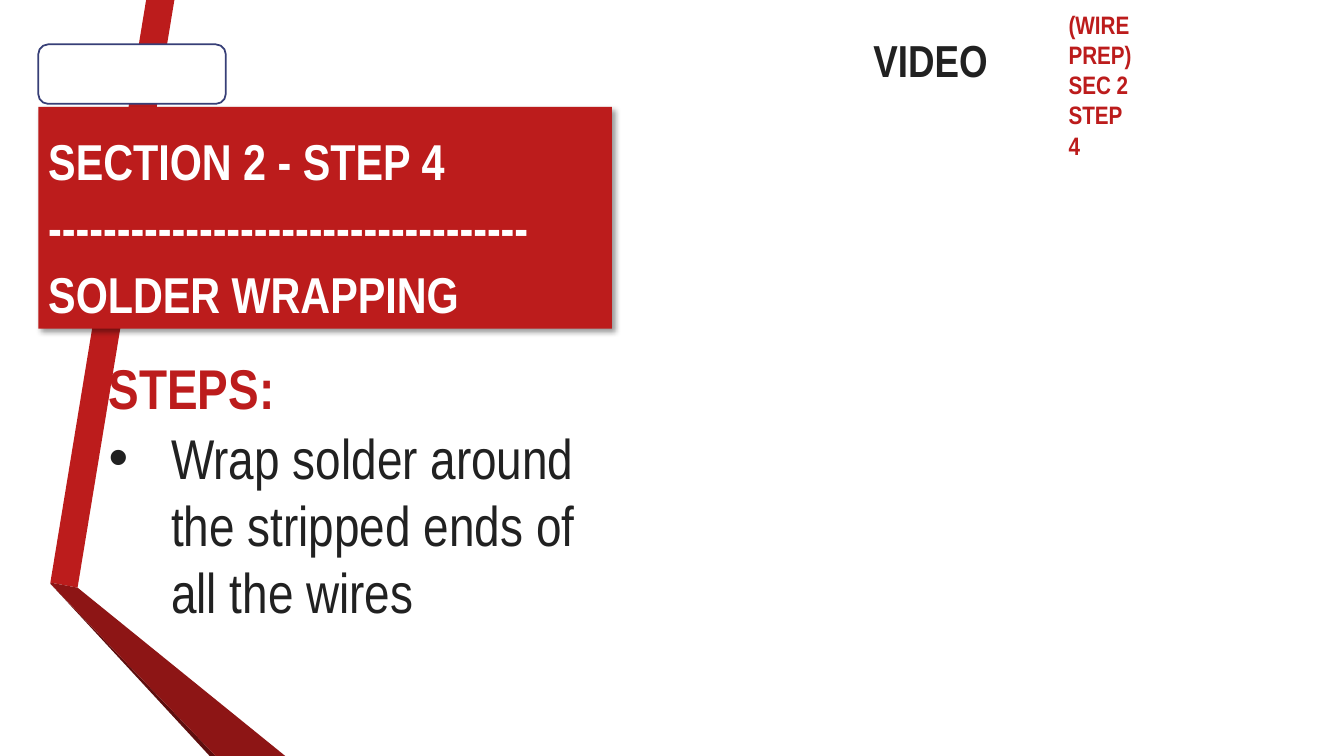
from lxml import etree
from pptx import Presentation
from pptx.dml.color import RGBColor
from pptx.enum.shapes import MSO_SHAPE
from pptx.enum.text import MSO_ANCHOR, PP_ALIGN
from pptx.oxml import parse_xml
from pptx.oxml.ns import nsdecls, qn
from pptx.util import Inches, Pt

# Content
FONT = "Arial Narrow"
COLORS = {"red": "BC1C1C", "dark_red": "8D1515", "deep_red": "5E0E0E",
          "white": "FFFFFF", "navy": "373F77", "ink": "212121"}
RIBBON = [
    ("red", [(0.5, 5.78), (0.77, 5.83), (1.73, 0), (1.45, 0)]),
    ("deep_red", [(0.5, 5.79), (2.08, 7.5), (2.14, 7.5)]),
    ("dark_red", [(0.5, 5.79), (2.14, 7.5), (2.83, 7.5), (0.77, 5.83), (0.5, 5.78)]),
]
LABEL_BOX = (0.38, 0.44, 1.86, 0.59)
TITLE_BOX = (0.38, 1.06, 5.69, 2.2)
TITLE_LINES = ["SECTION 2 - STEP 4", "-" * 35, "SOLDER WRAPPING"]
# text, box, size, colour, bold, alignment, bullet
TEXTS = [
    ("STEPS:", (0.98, 3.46, 5.09, 1.38), 40, "red", True, PP_ALIGN.LEFT, None),
    ("VIDEO", (7.22, 0.28, 4.02, 0.64), 32, "ink", True, PP_ALIGN.CENTER, None),
    ("(WIRE PREP) SEC 2 STEP 4", (10.5, 0.04, 0.84, 1.01), 18, "red", True,
     PP_ALIGN.LEFT, None),
    ("Wrap solder around the stripped ends of all the wires",
     (0.98, 4.15, 5.09, 2.12), 40, "ink", False, PP_ALIGN.LEFT, "•"),
]
BULLET_INDENT = 0.62


def rgb(name):
    return RGBColor.from_string(COLORS[name])


def inches(box):
    return [Inches(value) for value in box]


def paint(shape, fill, line=None):
    shape.shadow.inherit = False
    shape.fill.solid()
    shape.fill.fore_color.rgb = rgb(fill)
    if line:
        shape.line.color.rgb = rgb(line)
        shape.line.width = Pt(1.25)
    else:
        shape.line.fill.background()


def write(paragraph, text, size, color, bold):
    run = paragraph.add_run()
    run.text = text
    run.font.name = FONT
    run.font.size = Pt(size)
    run.font.bold = bold
    run.font.color.rgb = rgb(color)


def add_bullet(paragraph, mark):
    properties = paragraph._p.get_or_add_pPr()
    properties.set("marL", str(Inches(BULLET_INDENT)))
    properties.set("indent", str(-Inches(BULLET_INDENT)))
    font = etree.SubElement(properties, qn("a:buFont"))
    font.set("typeface", "Arial")
    etree.SubElement(properties, qn("a:buChar")).set("char", mark)


def add_soft_shadow(shape):
    effects = shape._element.spPr.find(qn("a:effectLst"))
    effects.append(parse_xml(
        f'<a:outerShdw {nsdecls("a")} blurRad="{Pt(4)}" dist="{Pt(3)}" '
        'dir="2700000" algn="tl" rotWithShape="0"><a:srgbClr val="000000">'
        '<a:alpha val="40000"/></a:srgbClr></a:outerShdw>'))


prs = Presentation()
prs.slide_width, prs.slide_height = Inches(13.33), Inches(7.5)
slide = prs.slides.add_slide(prs.slide_layouts[6])
shapes = slide.shapes

# Folded ribbon
for color, points in RIBBON:
    start, *rest = [tuple(inches(point)) for point in points]
    outline = shapes.build_freeform(*start)
    outline.add_line_segments(rest, close=True)
    paint(outline.convert_to_shape(), color)

# Empty label
label = shapes.add_shape(MSO_SHAPE.ROUNDED_RECTANGLE, *inches(LABEL_BOX))
paint(label, "white", "navy")

# Title panel
title = shapes.add_shape(MSO_SHAPE.RECTANGLE, *inches(TITLE_BOX))
paint(title, "red")
add_soft_shadow(title)
title.text_frame.word_wrap = True
title.text_frame.vertical_anchor = MSO_ANCHOR.BOTTOM
heading = title.text_frame.paragraphs[0]
heading.alignment = PP_ALIGN.LEFT
heading.line_spacing = 1.1
for number, line in enumerate(TITLE_LINES):
    if number:
        heading.add_line_break()
    write(heading, line, 36, "white", True)

# Steps and video captions
for text, box, size, color, bold, alignment, bullet in TEXTS:
    caption = shapes.add_textbox(*inches(box))
    caption.text_frame.word_wrap = True
    paragraph = caption.text_frame.paragraphs[0]
    paragraph.alignment = alignment
    if bullet:
        add_bullet(paragraph, bullet)
    write(paragraph, text, size, color, bold)

prs.save("out.pptx")
